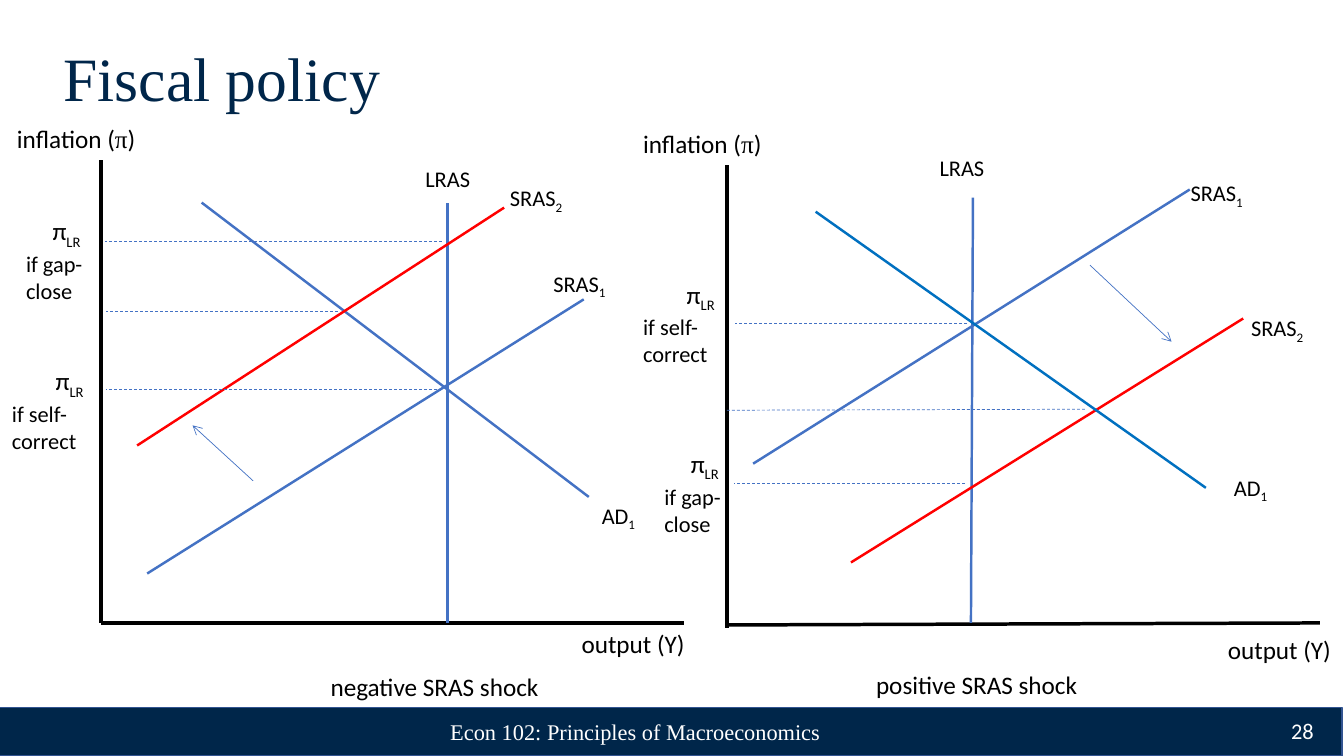
import pptx
import pptx.dml.color
import pptx.enum.dml
import pptx.enum.shapes
import pptx.enum.text
import pptx.util
from lxml import etree

RGB = pptx.dml.color.RGBColor
NAVY = RGB(0x00, 0x26, 0x4A)
BAR_EDGE = RGB(0x32, 0x54, 0x91)
BLUE = RGB(0x44, 0x72, 0xC4)
DEMAND_BLUE = RGB(0x00, 0x70, 0xC0)
RED = RGB(0xFF, 0x00, 0x00)
BLACK = RGB(0x00, 0x00, 0x00)
WHITE = RGB(0xFF, 0xFF, 0xFF)

PX = 9144  # 100 px to the inch
SERIF = "Times New Roman"
SANS = "Calibri"
ALIGN = pptx.enum.text.PP_ALIGN
ANCHOR = pptx.enum.text.MSO_ANCHOR
AUTO_SIZE = pptx.enum.text.MSO_AUTO_SIZE
DRAWING = "http://schemas.openxmlformats.org/drawingml/2006/main"


def apply(target, values):
    for name, value in values.items():
        setattr(target, name, value)


class Deck:
    def __init__(self, width, height):
        self.presentation = pptx.Presentation()
        self.presentation.slide_width = width * PX
        self.presentation.slide_height = height * PX
        self.slide = self.presentation.slides.add_slide(
            self.presentation.slide_layouts[5])

    def add_runs(self, paragraph, runs, size, font=SANS, color=BLACK):
        """Each run is plain text or a (text, changes) pair."""
        for item in runs:
            text, changes = (item, {}) if isinstance(item, str) else item
            run = paragraph.add_run()
            run.text = text
            run.font.size = pptx.util.Pt(size)
            run.font.name = changes.get("font", font)
            run.font.color.rgb = color
            if changes.get("subscript"):
                run.font._element.set("baseline", "-25000")

    def frame(self, shape, horizontal, vertical, **values):
        apply(shape.text_frame, {
            "margin_left": horizontal * PX, "margin_right": horizontal * PX,
            "margin_top": vertical * PX, "margin_bottom": vertical * PX,
            **values})

    def title(self, text, left, top, width, height):
        shape = self.slide.shapes.title
        apply(shape, {"left": left * PX, "top": top * PX,
                      "width": width * PX, "height": height * PX})
        self.frame(shape, 13, 7, vertical_anchor=ANCHOR.MIDDLE,
                   word_wrap=True, auto_size=AUTO_SIZE.NONE)
        paragraph = shape.text_frame.paragraphs[0]
        apply(paragraph, {"alignment": ALIGN.LEFT, "line_spacing": 0.9})
        self.add_runs(paragraph, [text], 44, SERIF, NAVY)

    def bar(self, left, top, width, height):
        shape = self.slide.shapes.add_shape(
            pptx.enum.shapes.MSO_SHAPE.RECTANGLE,
            left * PX, top * PX, width * PX, height * PX)
        shape.shadow.inherit = False
        shape.fill.solid()
        shape.fill.fore_color.rgb = NAVY
        shape.line.color.rgb = BAR_EDGE
        shape.line.width = pptx.util.Pt(1)

    def textbox(self, left, top, width, height):
        return self.slide.shapes.add_textbox(
            left * PX, top * PX, width * PX, height * PX)

    def footer(self, text, left, top, width, font, alignment):
        shape = self.textbox(left, top, width, 40)
        self.frame(shape, 13, 7, vertical_anchor=ANCHOR.MIDDLE, word_wrap=True)
        paragraph = shape.text_frame.paragraphs[0]
        paragraph.alignment = alignment
        self.add_runs(paragraph, [text], 16, font, WHITE)

    def label(self, runs, left, top, width, size):
        shape = self.textbox(left, top, width, 40 if size == 18 else 37)
        self.frame(shape, 10, 5, word_wrap=False,
                   auto_size=AUTO_SIZE.SHAPE_TO_FIT_TEXT)
        self.add_runs(shape.text_frame.paragraphs[0], runs, size)

    def long_run_label(self, lines, left, top, width):
        shape = self.textbox(left, top, width, 94)
        self.frame(shape, 10, 5, word_wrap=True,
                   auto_size=AUTO_SIZE.SHAPE_TO_FIT_TEXT)
        first = shape.text_frame.paragraphs[0]
        first.alignment = ALIGN.RIGHT
        self.add_runs(first, ["π", ("LR ", {"subscript": True})], 18)
        for line in lines:
            self.add_runs(shape.text_frame.add_paragraph(), [line], 16)

    def line(self, points, color, weight, dashed=False, arrow=False):
        shape = self.slide.shapes.add_connector(
            pptx.enum.shapes.MSO_CONNECTOR.STRAIGHT,
            *[value * PX for value in points])
        shape.line.color.rgb = color
        shape.line.width = pptx.util.Pt(weight)
        if dashed:
            shape.line.dash_style = pptx.enum.dml.MSO_LINE.DASH
        properties = shape._element.spPr
        if arrow:
            outline = properties.find(f"{{{DRAWING}}}ln")
            etree.SubElement(outline, f"{{{DRAWING}}}tailEnd", type="arrow")
        etree.SubElement(properties, f"{{{DRAWING}}}effectLst")


def curve_name(name, number):
    return [name, (number, {"subscript": True})]


INFLATION = ["inflation (", ("π", {"font": SERIF}), ")"]
SELF_CORRECT = ["if self-", "correct"]
GAP_CLOSE = ["if gap-", "close"]

NEGATIVE_SHOCK = {
    "axes": [(100, 159, 100, 618), (100, 618, 678, 618)],
    "curves": [((444, 618, 444, 201), BLUE), ((146, 569, 579, 297), BLUE),
               ((200, 201, 584, 493), BLUE), ((136, 442, 500, 206), RED)],
    "levels": [(335, 309, 105, 309), (438, 386, 105, 386),
               (438, 239, 104, 239)],
    "shift": (251, 477, 191, 422),
    "captions": [(["negative SRAS shock"], 318, 661, 229),
                 (["output (Y)"], 567, 618, 124), (INFLATION, 7, 117, 139)],
    "names": [(curve_name("AD", "1"), 587, 493, 55),
              (curve_name("SRAS", "2"), 496, 178, 74),
              (curve_name("SRAS", "1"), 539, 263, 74),
              (["LRAS"], 412, 159, 65)],
    "long_run": [(SELF_CORRECT, 2, 358, 94), (GAP_CLOSE, 16, 209, 77)],
}
POSITIVE_SHOCK = {
    "axes": [(721, 620, 1309, 618), (721, 164, 721, 623)],
    "curves": [((963, 618, 965, 196), BLUE), ((747, 460, 1180, 188), BLUE),
               ((844, 558, 1233, 316), RED),
               ((809, 210, 1196, 484), DEMAND_BLUE)],
    "levels": [(959, 321, 729, 321), (1076, 406, 721, 407),
               (957, 480, 728, 480)],
    "shift": (1081, 263, 1162, 339),
    "captions": [(["positive SRAS shock"], 859, 659, 229),
                 (["output (Y)"], 1208, 624, 124), (INFLATION, 628, 122, 139)],
    "names": [(curve_name("AD", "1"), 1214, 465, 55),
              (curve_name("SRAS", "2"), 1231, 307, 74),
              (curve_name("SRAS", "1"), 1171, 173, 74),
              (["LRAS"], 922, 148, 65)],
    "long_run": [(SELF_CORRECT, 628, 272, 94), (GAP_CLOSE, 649, 440, 77)],
}


def draw_diagram(deck, diagram):
    # Axes, curves, inflation levels and the shift arrow
    for points in diagram["axes"]:
        deck.line(points, BLACK, 2.5)
    for points, color in diagram["curves"]:
        deck.line(points, color, 1.75)
    for points in diagram["levels"]:
        deck.line(points, BLUE, 0.5, dashed=True)
    deck.line(diagram["shift"], BLUE, 0.5, arrow=True)

    # Captions, curve names and long-run inflation labels
    for caption in diagram["captions"]:
        deck.label(*caption, size=18)
    for name in diagram["names"]:
        deck.label(*name, size=16)
    for long_run in diagram["long_run"]:
        deck.long_run_label(*long_run)


def main():
    deck = Deck(1333, 750)

    # Title and footer
    deck.bar(-2, 702, 1333, 48)
    deck.title("Fiscal policy", 50, 40, 1233, 81)
    deck.footer("Econ 102: Principles of Macroeconomics",
                405, 706, 450, SERIF, ALIGN.CENTER)
    deck.footer("28", 1223, 705, 93, SANS, ALIGN.RIGHT)

    # Two supply shocks side by side
    for diagram in (NEGATIVE_SHOCK, POSITIVE_SHOCK):
        draw_diagram(deck, diagram)

    deck.presentation.save("out.pptx")


if __name__ == "__main__":
    main()
